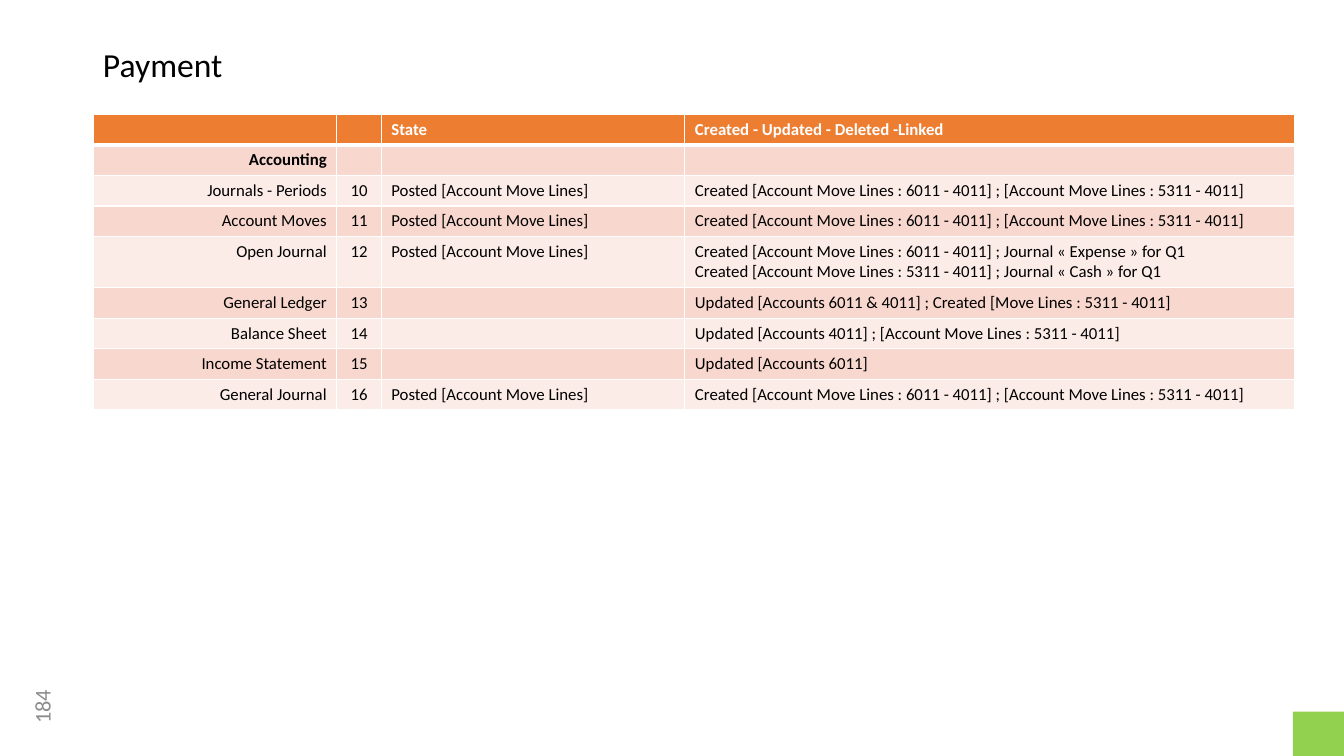
from dataclasses import dataclass

from lxml.etree import SubElement
from pptx import Presentation
from pptx.dml.color import RGBColor
from pptx.enum.shapes import MSO_SHAPE as Shape
from pptx.enum.text import MSO_ANCHOR as Anchor, PP_ALIGN as Align
from pptx.oxml.ns import qn
from pptx.util import Cm, Pt


@dataclass(frozen=True)
class Theme:
    font: str = "Calibri"
    title_size: int = 24
    number_size: int = 16
    table_size: int = 12
    text: str = "000000"
    muted: str = "8C8C8C"
    white: str = "FFFFFF"
    header: str = "ED7D31"
    bands: tuple = ("F8D7CE", "FCECE8")
    corner: str = "92D050"


class SlideBuilder:
    def __init__(self, slide, theme):
        self.slide = slide
        self.theme = theme

    def style(self, paragraph, size, color, align=Align.LEFT, bold=False):
        paragraph.alignment = align
        font = paragraph.font
        font.name, font.size, font.bold = self.theme.font, Pt(size), bold
        font.color.rgb = RGBColor.from_string(color)

    def title(self, text, *box):
        shape = self.slide.shapes.title
        shape.left, shape.top, shape.width, shape.height = map(Cm, box)
        shape.text_frame.text = text
        shape.text_frame.vertical_anchor = Anchor.MIDDLE
        paragraph = shape.text_frame.paragraphs[0]
        paragraph.line_spacing = 0.9
        self.style(paragraph, self.theme.title_size, self.theme.text)

    def page_number(self, text, *box):
        shape = self.slide.shapes.add_textbox(*map(Cm, box))
        shape.rotation = 270
        frame = shape.text_frame
        frame.word_wrap = True
        frame.vertical_anchor = Anchor.MIDDLE
        frame.text = text
        self.style(frame.paragraphs[0], self.theme.number_size, self.theme.muted, Align.CENTER)

    def rectangle(self, color, *box):
        shape = self.slide.shapes.add_shape(Shape.RECTANGLE, *map(Cm, box))
        shape.shadow.inherit = False
        shape.fill.solid()
        shape.fill.fore_color.rgb = RGBColor.from_string(color)
        shape.line.fill.background()

    def borders(self, cell, **widths):
        properties = cell._tc.get_or_add_tcPr()
        for side in "LRTB":
            line = SubElement(properties, qn(f"a:ln{side}"), w=str(Pt(widths.get(side, 1))))
            fill = SubElement(line, qn("a:solidFill"))
            SubElement(fill, qn("a:srgbClr"), val=self.theme.white)

    def cell(self, cell, text, fill, color, align, bold, **widths):
        cell.text_frame.text = text
        paragraph = cell.text_frame.paragraphs[0]
        self.style(paragraph, self.theme.table_size, color, align, bold)
        if not text:  # keeps an empty cell from stretching its row
            SubElement(paragraph._p, qn("a:endParaRPr"), sz=str(self.theme.table_size * 100))
        self.borders(cell, **widths)
        cell.fill.solid()
        cell.fill.fore_color.rgb = RGBColor.from_string(fill)

    def table(self, rows, left, top, columns, row_height):
        frame = self.slide.shapes.add_table(
            len(rows), len(columns), Cm(left), Cm(top),
            Cm(sum(columns)), Cm(row_height * len(rows)))
        table = frame.table
        for column, width in zip(table.columns, columns):
            column.width = Cm(width)
        aligns = (Align.RIGHT, Align.CENTER, Align.LEFT, Align.LEFT)
        for row_index, values in enumerate(rows):
            lines = max(value.count("\v") + 1 for value in values)
            table.rows[row_index].height = Cm(row_height + 0.52 * (lines - 1))
            is_header = row_index == 0
            fill = self.theme.header if is_header else self.theme.bands[(row_index - 1) % 2]
            color = self.theme.white if is_header else self.theme.text
            # Thick rule between the header and the first row
            widths = {0: {"B": 3}, 1: {"T": 3}}.get(row_index, {})
            for column_index, value in enumerate(values):
                self.cell(table.cell(row_index, column_index), value, fill, color,
                          aligns[column_index], row_index < 2, **widths)


POSTED = "Posted [Account Move Lines]"
CREATED = "Created [Account Move Lines : 6011 - 4011] ; [Account Move Lines : 5311 - 4011]"
OPEN_JOURNAL = (
    "Created [Account Move Lines : 6011 - 4011] ; Journal « Expense » for Q1\v"
    "Created [Account Move Lines : 5311 - 4011] ; Journal « Cash » for Q1")
PAYMENT_ROWS = [
    ("", "", "State", "Created - Updated - Deleted -Linked"),
    ("Accounting", "", "", ""),
    ("Journals - Periods", "10", POSTED, CREATED),
    ("Account Moves", "11", POSTED, CREATED),
    ("Open Journal", "12", POSTED, OPEN_JOURNAL),
    ("General Ledger", "13", "",
     "Updated [Accounts 6011 & 4011] ; Created [Move Lines : 5311 - 4011]"),
    ("Balance Sheet", "14", "", "Updated [Accounts 4011] ; [Account Move Lines : 5311 - 4011]"),
    ("Income Statement", "15", "", "Updated [Accounts 6011]"),
    ("General Journal", "16", POSTED, CREATED),
]


def main():
    presentation = Presentation()
    presentation.slide_width, presentation.slide_height = Cm(33.87), Cm(19.05)
    theme = Theme()
    builder = SlideBuilder(presentation.slides.add_slide(presentation.slide_layouts[5]), theme)

    # Page number and corner block
    builder.page_number("184", 0.1, 17.3, 1.9, 1.02)
    builder.rectangle(theme.corner, 32.58, 17.93, 1.29, 1.12)

    # Title and accounting table
    builder.title("Payment", 2.34, 1.02, 29.2, 1.3)
    builder.table(PAYMENT_ROWS, 2.36, 2.88, (6.13, 1.12, 7.65, 15.37), 0.77)

    presentation.save("out.pptx")


if __name__ == "__main__":
    main()
